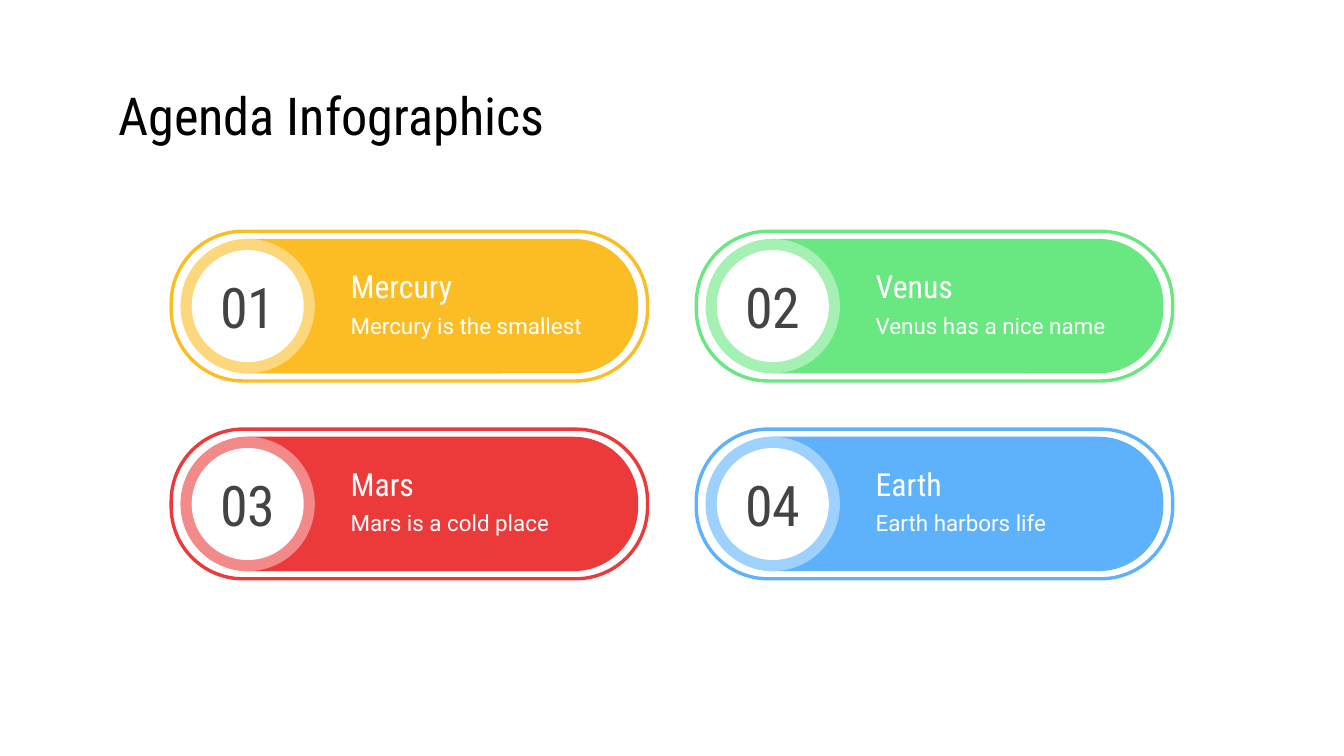
from dataclasses import dataclass

from pptx import Presentation
from pptx.dml.color import RGBColor
from pptx.enum.shapes import MSO_SHAPE
from pptx.enum.text import MSO_ANCHOR, MSO_AUTO_SIZE, PP_ALIGN
from pptx.util import Pt

PILL, CIRCLE = MSO_SHAPE.ROUNDED_RECTANGLE, MSO_SHAPE.OVAL
LEFT, CENTER = PP_ALIGN.LEFT, PP_ALIGN.CENTER
MIDDLE, NO_AUTOFIT = MSO_ANCHOR.MIDDLE, MSO_AUTO_SIZE.NONE
TITLE_ONLY = 5


@dataclass(frozen=True)
class Theme:
    heading_font: str = "Roboto Condensed"
    body_font: str = "Roboto"
    black: str = "000000"
    white: str = "FFFFFF"
    gray: str = "434343"
    title_size: int = 28
    number_size: int = 30
    name_size: int = 17
    detail_size: int = 12
    inset: float = 7.2
    border: float = 1.8
    roundness: float = 0.48


THEME = Theme()

# Name, detail, main colour, tint of the disc
AGENDA = [
    ("Mercury", "Mercury is the smallest", "FCBD24", "FDD77C"),
    ("Venus", "Venus has a nice name", "69E781", "A5F1B3"),
    ("Mars", "Mars is a cold place", "EC3A3B", "F48989"),
    ("Earth", "Earth harbors life", "5EB2FC", "9ED1FD"),
]


def write_text(shape, text, *, size, color, font=THEME.heading_font,
               align=LEFT, wrap=True):
    frame = shape.text_frame
    frame.auto_size = NO_AUTOFIT
    frame.word_wrap = wrap
    frame.vertical_anchor = MIDDLE
    frame.margin_left = frame.margin_right = Pt(THEME.inset)
    frame.margin_top = frame.margin_bottom = Pt(THEME.inset)
    paragraph = frame.paragraphs[0]
    paragraph.alignment = align
    run = paragraph.add_run()
    run.text = text
    run.font.name = font
    run.font.size = Pt(size)
    run.font.color.rgb = RGBColor.from_string(color)


def add_shape(shapes, kind, left, top, width, height, *, fill=None, line=None):
    shape = shapes.add_shape(kind, Pt(left), Pt(top), Pt(width), Pt(height))
    shape.shadow.inherit = False
    if kind == PILL:
        shape.adjustments[0] = THEME.roundness
    if fill:
        shape.fill.solid()
        shape.fill.fore_color.rgb = RGBColor.from_string(fill)
    else:
        shape.fill.background()
    if line:
        shape.line.color.rgb = RGBColor.from_string(line)
        shape.line.width = Pt(THEME.border)
    else:
        shape.line.fill.background()
    return shape


def add_title(slide, text, left, top, width, height):
    title = slide.shapes.title
    title.left, title.top = Pt(left), Pt(top)
    title.width, title.height = Pt(width), Pt(height)
    write_text(title, text, size=THEME.title_size, color=THEME.black)


def add_card(slide, number, item, left, top, width, height):
    name, detail, color, tint = item
    shapes = slide.shapes.add_group_shape().shapes
    middle = top + height / 2

    # Filled bar
    bar_height = height - 10
    add_shape(shapes, PILL, left + 7.9, top + 5, width - 13.8, bar_height, fill=color)

    # Tinted disc with the numbered circle at its centre
    disc_center = left + 5.9 + bar_height / 2
    for diameter, fill in ((bar_height, tint), (bar_height - 12, THEME.white)):
        circle = add_shape(shapes, CIRCLE, disc_center - diameter / 2,
                           middle - diameter / 2, diameter, diameter, fill=fill)
    write_text(circle, f"{number:02}", size=THEME.number_size,
               color=THEME.gray, align=CENTER, wrap=False)

    # Outer border, drawn inside the card's box
    half = THEME.border / 2
    add_shape(shapes, PILL, left + half, top + half,
              width - 2 * half, height - 2 * half, line=color)

    # Detail and name
    lines = [
        (detail, 36.8, THEME.detail_size, THEME.body_font),
        (name, 15.6, THEME.name_size, THEME.heading_font),
    ]
    for text, offset, size, font in lines:
        box = shapes.add_textbox(Pt(left + 89.9), Pt(top + offset), Pt(143.3), Pt(28.8))
        write_text(box, text, size=size, color=THEME.white, font=font)


def add_agenda(slide, left, top, width, height, columns=2, gap_x=24.3, gap_y=24):
    rows = len(AGENDA) // columns
    card_width = (width - gap_x * (columns - 1)) / columns
    card_height = (height - gap_y * (rows - 1)) / rows
    for index, item in enumerate(AGENDA):
        row, column = divmod(index, columns)
        add_card(slide, index + 1, item,
                 left + column * (card_width + gap_x),
                 top + row * (card_height + gap_y), card_width, card_height)


def main():
    presentation = Presentation()
    presentation.slide_width, presentation.slide_height = Pt(720), Pt(405)
    slide = presentation.slides.add_slide(presentation.slide_layouts[TITLE_ONLY])
    add_title(slide, "Agenda Infographics", 56.2, 42.4, 608.4, 38.2)
    add_agenda(slide, 90.8, 123, 538.3, 188)
    presentation.save("out.pptx")


if __name__ == "__main__":
    main()
